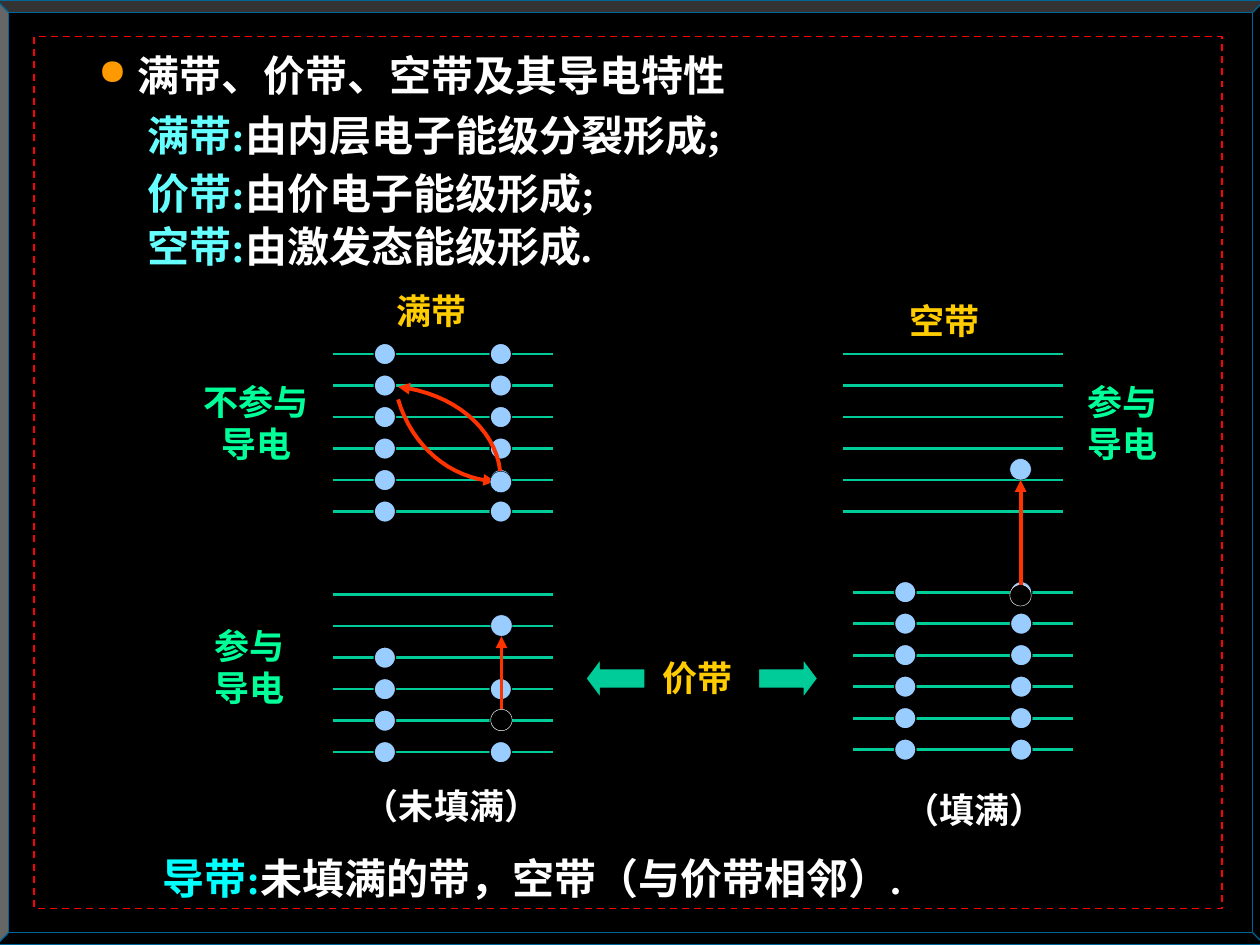
from lxml import etree
from pptx import Presentation
from pptx import util as u
from pptx.dml.color import RGBColor
from pptx.enum import dml, shapes, text
from pptx.oxml.ns import qn

COLUMNS, ROWS = 100, 75
CELL = u.Inches(0.1)
LEVELS, LEVEL_GAP, LEVEL_LENGTH = 6, 2.5, 17.5
SITES = (4.15, 13.35)  # electron columns, measured from the start of a level
DOT = 1.7

COLORS = {
    "black": "000000", "white": "FFFFFF", "frame": "006699", "border": "FF0000",
    "level": "00CC99", "electron": "99CCFF", "jump": "FF3300", "bullet": "FF9900",
    "term": "66FFFF", "conduction": "00FFFF", "band": "FFCC00", "note": "00FF99",
}
SERIF, SANS = "Times New Roman", "Arial"


def grid(*cells):
    return [round(cell * CELL) for cell in cells]


def rgb(name):
    return RGBColor.from_string(COLORS[name])


def set_line(line, color, width, **ends):
    """Colour a line and add arrowheads such as headEnd="triangle"."""
    line.color.rgb = rgb(color)
    line.width = u.Pt(width)
    for end, kind in ends.items():
        etree.SubElement(line._get_or_add_ln(), qn(f"a:{end}"), type=kind)


def add_figure(slide, kind, box, fill, line, width):
    figure = slide.shapes.add_shape(kind, *grid(*box))
    figure.shadow.inherit = False
    if fill:
        figure.fill.solid()
        figure.fill.fore_color.rgb = rgb(fill)
    else:
        figure.fill.background()
    set_line(figure.line, line, width)
    return figure


def add_straight(slide, start, end, color, width, **ends):
    straight = slide.shapes.add_connector(
        shapes.MSO_CONNECTOR.STRAIGHT, *grid(*start, *end))
    set_line(straight.line, color, width, **ends)
    etree.SubElement(straight._element.spPr, qn("a:effectLst"))


def add_dot(slide, x, y, fill="electron", line="black", width=0.25):
    """Draw an electron or a hole centred on x, y."""
    add_figure(slide, shapes.MSO_SHAPE.OVAL,
               (x - DOT / 2, y - DOT / 2, DOT, DOT), fill, line, width)


def add_band(slide, left, top, filled=(0, 0)):
    """Draw the levels of a band; filled counts electrons per site, from the bottom."""
    for level in range(LEVELS):
        y = top + level * LEVEL_GAP
        add_straight(slide, (left, y), (left + LEVEL_LENGTH, y), "level", 1.5)
        for site, count in zip(SITES, filled):
            if level >= LEVELS - count:
                add_dot(slide, left + site, y, width=0.75)


def add_jump(slide, x, hole_y, electron_y):
    """Draw an electron that has left a hole for a higher level."""
    add_dot(slide, x, hole_y, "black", "white")
    add_dot(slide, x, electron_y)
    add_straight(slide, (x, hole_y - DOT / 2), (x, electron_y + DOT / 2),
                 "jump", 2.25, tailEnd="triangle")


def add_arc(slide, *controls, steps=16):
    """Draw a cubic curve through its four control points, arrowhead at the first."""
    points = []
    for step in range(steps + 1):
        t = step / steps
        weights = ((1 - t) ** 3, 3 * t * (1 - t) ** 2, 3 * t * t * (1 - t), t ** 3)
        points.append(grid(*(sum(w * c for w, c in zip(weights, axis))
                             for axis in zip(*controls))))
    builder = slide.shapes.build_freeform(*points[0])
    builder.add_line_segments(points[1:], close=False)
    arc = builder.convert_to_shape()
    arc.shadow.inherit = False
    arc.fill.background()
    set_line(arc.line, "jump", 2.25, headEnd="triangle")


def fill_text(frame, runs, size, font=SERIF, wrap=False, centred=False):
    frame_format = {
        "word_wrap": wrap, "auto_size": text.MSO_AUTO_SIZE.SHAPE_TO_FIT_TEXT,
        "vertical_anchor": text.MSO_ANCHOR.TOP,
    }
    for key, value in frame_format.items():
        setattr(frame, key, value)
    paragraph = frame.paragraphs[0]
    paragraph.alignment = text.PP_ALIGN.CENTER if centred else text.PP_ALIGN.LEFT
    for words, color in runs:
        run = paragraph.add_run()
        run.text = words
        for key, value in {"name": font, "size": u.Pt(size), "bold": True}.items():
            setattr(run.font, key, value)
        run.font.color.rgb = rgb(color)


def add_text(slide, box, runs, size=20, **options):
    fill_text(slide.shapes.add_textbox(*grid(*box)).text_frame, runs, size, **options)


def add_heading(slide, box, words):
    heading = slide.shapes.title
    heading.left, heading.top, heading.width, heading.height = grid(*box)
    properties = heading.text_frame.paragraphs[0]._p.get_or_add_pPr()
    color = etree.SubElement(properties, qn("a:buClr"))
    etree.SubElement(color, qn("a:srgbClr"), val=COLORS["bullet"])
    etree.SubElement(properties, qn("a:buSzPct"), val="85000")
    etree.SubElement(properties, qn("a:buChar"), char="●")
    fill_text(heading.text_frame, [(words, "white")], 24)


def add_frame(slide):
    """Put the bevelled frame and the dashed border behind everything else."""
    bevel = add_figure(slide, shapes.MSO_SHAPE.BEVEL, (-0.3, 0, COLUMNS + 0.7, ROWS),
                       "black", "frame", 0.75)
    bevel.adjustments[0] = 0.013
    border = add_figure(slide, shapes.MSO_SHAPE.RECTANGLE, (2.7, 2.9, 94.3, 69.2),
                        None, "border", 1)
    border.line.dash_style = dml.MSO_LINE.DASH
    for part in (border, bevel):
        slide.shapes._spTree.insert(2, part._element)


def add_definitions(slide):
    for box, term, color, meaning in (
        ((10.7, 8.2, 66.5, 5), "满带:", "term", "由内层电子能级分裂形成;"),
        ((10.7, 12.8, 54.9, 5), "价带:", "term", "由价电子能级形成;"),
        ((10.7, 17, 48, 5), "空带:", "term", "由激发态能级形成."),
        ((11.9, 67.2, 74.3, 5), "导带:", "conduction", "未填满的带，空带（与价带相邻）."),
    ):
        add_text(slide, box, [(term, color), (meaning, "white")], 24, wrap=True)


def add_labels(slide):
    for left, top, name in ((30.5, 22.5, "满带"), (71.2, 23.3, "空带"), (51.6, 51.6, "价带")):
        add_text(slide, (left, top, 8, 4.4), [(name, "band")])
    for left, top, width, note in ((14.4, 29.7, 11.9, "不参与导电"),
                                   (14.8, 49.1, 10, "参与导电"),
                                   (84.1, 29.7, 10, "参与导电")):
        add_text(slide, (left, top, width, 7.7), [(note, "note")],
                 wrap=True, centred=True)
    for left, top, width, state in ((27.9, 61.8, 15.9, "（未填满）"),
                                    (70.8, 62.1, 13.1, "（填满）")):
        add_text(slide, (left, top, width, 4.4), [(state, "white")], font=SANS)
    for left, kind in ((46.5, shapes.MSO_SHAPE.LEFT_ARROW),
                       (60.2, shapes.MSO_SHAPE.RIGHT_ARROW)):
        pointer = add_figure(slide, kind, (left, 52.3, 4.7, 3.1), "level", "black", 0.75)
        pointer.adjustments[1] = 0.376


def main():
    deck = Presentation()
    deck.slide_width, deck.slide_height = grid(COLUMNS, ROWS)
    slide = deck.slides.add_slide(deck.slide_layouts[5])
    slide.background.fill.solid()
    slide.background.fill.fore_color.rgb = rgb("black")

    add_frame(slide)
    add_heading(slide, (6.8, 3.4, 53.5, 5), " 满带、价带、空带及其导电特性")
    add_definitions(slide)

    add_band(slide, 26.4, 28.1, (6, 6))
    add_band(slide, 26.4, 47.2, (4, 3))
    add_band(slide, 66.9, 28.1)
    add_band(slide, 67.7, 47, (6, 6))
    add_labels(slide)

    add_arc(slide, (31.6, 30.7), (35.9, 31.2), (39.3, 33.9), (39.7, 37.4))
    add_arc(slide, (39.3, 38.2), (35.7, 38), (32.7, 35.4), (31.6, 31.7))
    add_dot(slide, 39.75, 38.25)
    add_jump(slide, 39.8, 57.15, 49.65)
    add_jump(slide, 81, 47.25, 37.25)
    deck.save("out.pptx")


if __name__ == "__main__":
    main()
